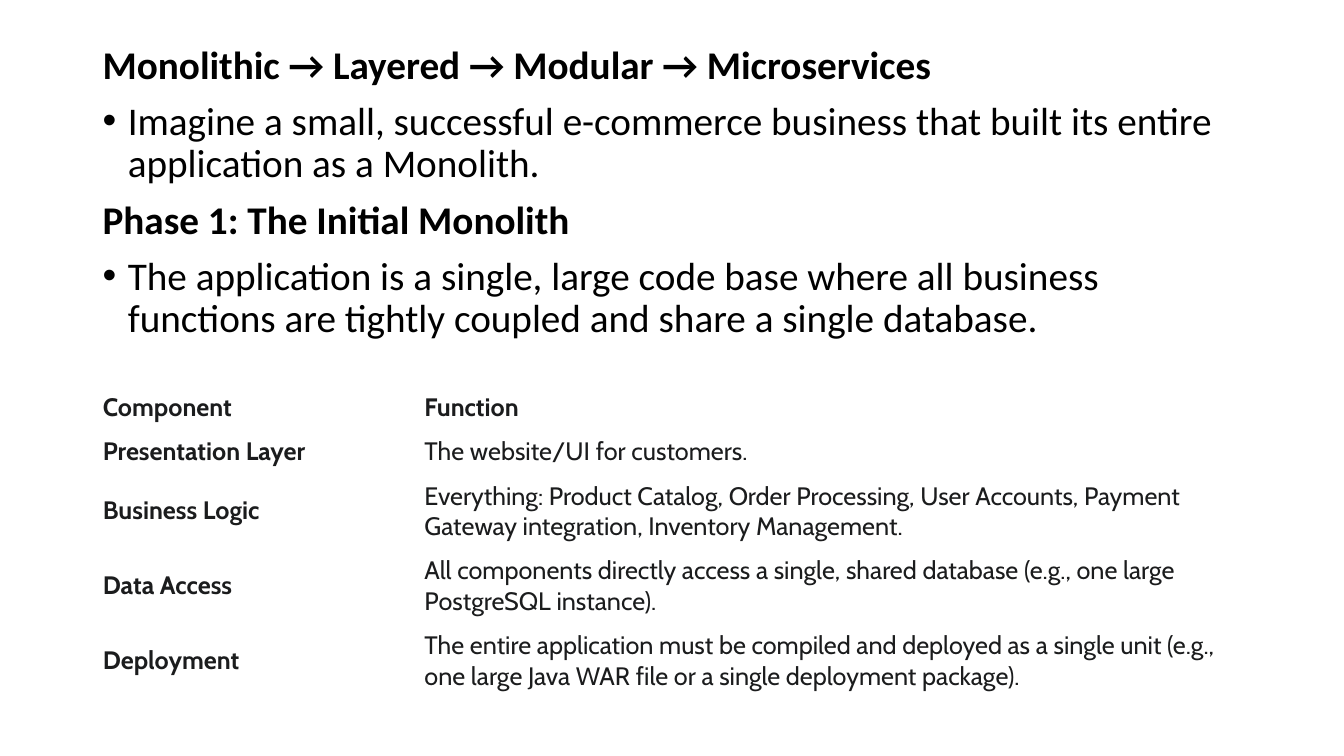
from lxml.etree import SubElement
from pptx import Presentation
from pptx.dml.color import RGBColor
from pptx.enum.text import MSO_ANCHOR
from pptx.oxml import parse_xml
from pptx.oxml.ns import nsdecls, qn
from pptx.util import Inches, Pt

BLACK = RGBColor(0x00, 0x00, 0x00)
INK = RGBColor(0x1B, 0x1C, 0x1D)
WHITE = RGBColor(0xFF, 0xFF, 0xFF)

STORY = [
    ("Monolithic → Layered → Modular → Microservices",
     "Imagine a small, successful e-commerce business that built its entire application as a Monolith."),
    ("Phase 1: The Initial Monolith",
     "The application is a single, large code base where all business functions are tightly coupled "
     "and share a single database."),
]
COMPONENTS = [
    ("Component", "Function"),
    ("Presentation Layer", "The website/UI for customers."),
    ("Business Logic",
     "Everything: Product Catalog, Order Processing, User Accounts, Payment Gateway integration, "
     "Inventory Management."),
    ("Data Access",
     "All components directly access a single, shared database (e.g., one large PostgreSQL instance)."),
    ("Deployment",
     "The entire application must be compiled and deployed as a single unit (e.g., one large Java WAR "
     "file or a single deployment package)."),
]
COLUMN_WIDTHS = (3.19, 8.31)
ROW_HEIGHTS = (0.43, 0.43, 0.74, 0.74, 0.74)


def write(para, text, size, font, color, bold=False):
    """Add formatted text to a paragraph."""
    span = para.add_run()
    span.text = text
    span.font.size = Pt(size)
    span.font.name = font
    span.font.bold = bold
    span.font.color.rgb = color


def add_bullet(para, indent):
    """Give a paragraph a round bullet with a hanging indent."""
    properties = para._p.get_or_add_pPr()
    properties.set("marL", str(Inches(indent)))
    properties.set("indent", str(-Inches(indent)))
    SubElement(properties, qn("a:buFont")).set("typeface", "Arial")
    SubElement(properties, qn("a:buChar")).set("char", "•")


def add_story(page, left, top, width, height):
    """Place the headings, each followed by its bulleted explanation."""
    box = page.shapes.add_textbox(Inches(left), Inches(top), Inches(width), Inches(height))
    frame = box.text_frame
    frame.word_wrap = True
    lines = [line for section in STORY for line in section]
    for number, text in enumerate(lines):
        para = frame.add_paragraph() if number else frame.paragraphs[0]
        heading = number % 2 == 0
        para.line_spacing = 0.9
        if number:
            para.space_before = Pt(10)
        if not heading:
            add_bullet(para, 0.25)
        write(para, text, 28, "Calibri", BLACK, bold=heading)


def add_borders(cell, color, width):
    """Draw the four borders of a table cell."""
    properties = cell._tc.get_or_add_tcPr()
    for position, side in enumerate(("lnL", "lnR", "lnT", "lnB")):
        properties.insert(position, parse_xml(
            f'<a:{side} {nsdecls("a")} w="{Pt(width)}"><a:solidFill>'
            f'<a:srgbClr val="{color}"/></a:solidFill></a:{side}>'))


def add_components(page, left, top, width, height):
    """Place the table of components and their functions."""
    table = page.shapes.add_table(len(COMPONENTS), len(COLUMN_WIDTHS), Inches(left), Inches(top),
                                  Inches(width), Inches(height)).table
    table.horz_banding = False
    table.first_row = False
    for column, column_width in zip(table.columns, COLUMN_WIDTHS):
        column.width = Inches(column_width)
    for row_number, (row, row_height) in enumerate(zip(table.rows, ROW_HEIGHTS)):
        row.height = Inches(row_height)
        for column_number, cell in enumerate(row.cells):
            cell.fill.background()
            add_borders(cell, WHITE, 0.6)
            cell.vertical_anchor = MSO_ANCHOR.MIDDLE
            cell.margin_left = cell.margin_right = Inches(0.1)
            cell.margin_top = cell.margin_bottom = Inches(0.07)
            write(cell.text_frame.paragraphs[0], COMPONENTS[row_number][column_number], 18, "Cabin",
                  INK, bold=row_number == 0 or column_number == 0)


def main():
    """Build the slide and save the deck."""
    deck = Presentation()
    deck.slide_width = Inches(13.33)
    deck.slide_height = Inches(7.5)
    page = deck.slides.add_slide(deck.slide_layouts[6])
    add_story(page, 0.92, 0.4, 11.5, 6.36)
    add_components(page, 0.92, 3.82, sum(COLUMN_WIDTHS), sum(ROW_HEIGHTS))
    deck.save("out.pptx")


if __name__ == "__main__":
    main()
